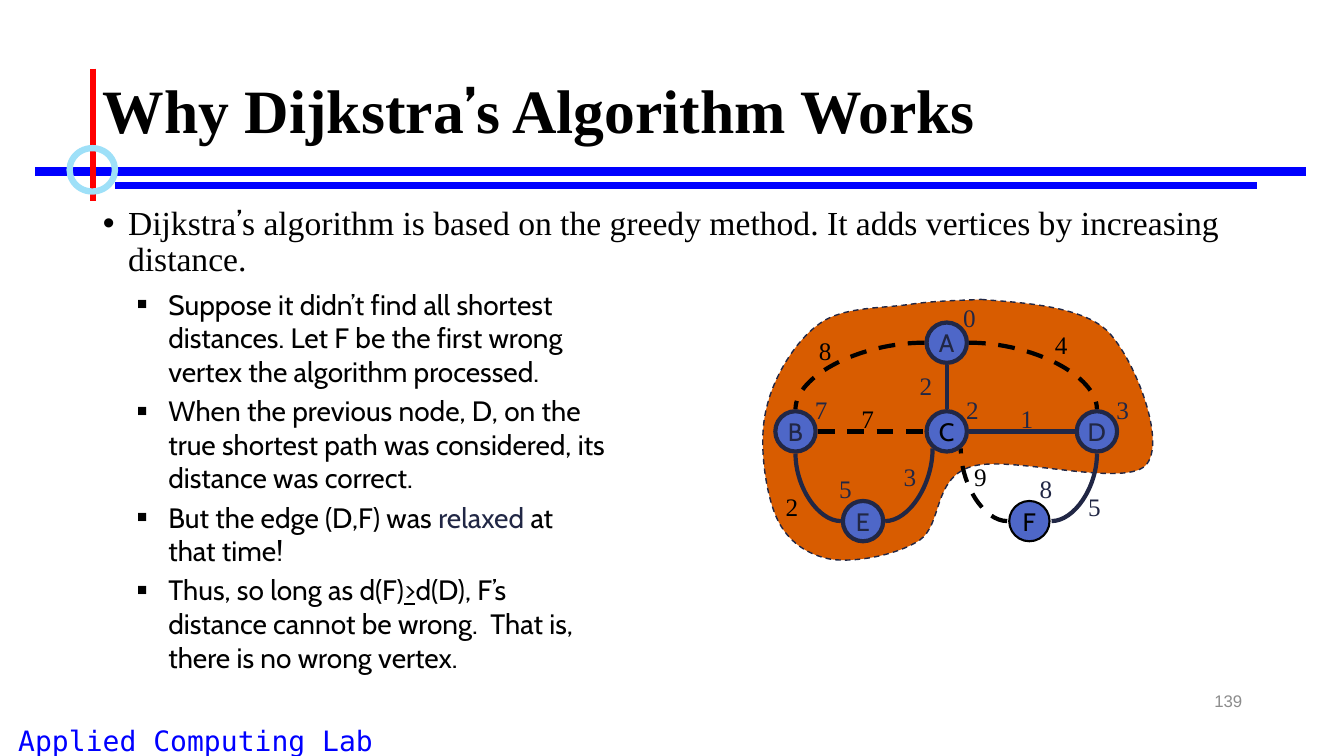
import dataclasses
import math
import typing

import lxml.etree
import pptx
import pptx.dml.color
import pptx.enum.dml
import pptx.enum.shapes
import pptx.enum.text
import pptx.oxml.ns
import pptx.shapes.base
import pptx.slide
import pptx.text.text
import pptx.util

Inches = pptx.util.Inches
Align = pptx.enum.text.PP_ALIGN
Anchor = pptx.enum.text.MSO_ANCHOR
Kind = pptx.enum.shapes.MSO_CONNECTOR
Point = tuple[float, float]
qn = pptx.oxml.ns.qn


@dataclasses.dataclass(frozen=True)
class Theme:
    black: str = "000000"
    navy: str = "212745"
    node: str = "4E67C8"
    cloud: str = "D85C00"
    blue: str = "0000FF"
    red: str = "FF0000"
    ring: str = "9EE0F8"
    gray: str = "8C8C8C"
    serif: str = "Times New Roman"
    sans: str = "Cabin"
    mono: str = "DejaVu Sans Mono"
    arial: str = "Arial"
    title: int = 44
    lead: int = 24
    list: int = 20
    label: int = 18
    page: int = 12


THEME = Theme()


class Node(typing.NamedTuple):
    x: float
    y: float
    cost: str
    spot: Point
    ink: str = THEME.navy
    rim: str = THEME.navy
    width: float = 3


class Edge(typing.NamedTuple):
    start: str
    end: str
    cost: str
    spot: Point
    ink: str = THEME.navy
    dash: bool = False
    slant: float = 0


class Bullet(typing.NamedTuple):
    mark: str
    left: float
    hang: float
    scale: int


class Rule(typing.NamedTuple):
    start: Point
    end: Point
    color: str
    width: float


RULES = [
    Rule((0.35, 1.7), (12.95, 1.7), THEME.blue, 6),
    Rule((1.14, 1.84), (12.47, 1.84), THEME.blue, 4.5),
    Rule((0.92, 0.68), (0.92, 1.99), THEME.red, 4.5),
]
SIZE, GAP = 0.4, 0.22  # node diameter; distance from node centre to edge end
NODES = {
    "A": Node(9.39, 3.4, "0", (9.45, 2.95)),
    "B": Node(7.89, 4.28, "7", (7.98, 3.86)),
    "C": Node(9.39, 4.28, "2", (9.48, 3.86), THEME.black),
    "D": Node(10.88, 4.28, "3", (10.97, 3.86)),
    "E": Node(8.56, 5.17, "5", (8.22, 4.65)),
    "F": Node(10.21, 5.17, "8", (10.21, 4.65), THEME.black, THEME.black, 1.5),
}
EDGES = [
    Edge("A", "B", "8", (8.02, 3.28), THEME.black, True),
    Edge("A", "D", "4", (10.36, 3.22), THEME.black, True),
    Edge("A", "C", "2", (9.02, 3.62)),
    Edge("B", "C", "7", (8.44, 3.95), THEME.black, True),
    Edge("C", "D", "1", (10.02, 3.95)),
    Edge("E", "B", "2", (7.69, 4.83), THEME.black),
    Edge("E", "C", "3", (8.86, 4.53), slant=-0.14),
    Edge("F", "C", "9", (9.56, 4.53), THEME.black, True, 0.14),
    Edge("F", "D", "5", (10.69, 4.83)),
]
# Start point, then two control points and an end point for each curve
CLOUD: list[Point] = [
    (9.73, 2.97), (10.06, 3), (10.72, 3.02), (10.99, 3.29),
    (11.26, 3.57), (11.58, 4.4), (11.36, 4.62),
    (11.13, 4.84), (10, 4.51), (9.63, 4.63),
    (9.25, 4.75), (9.35, 5.2), (9.12, 5.36),
    (8.89, 5.51), (8.49, 5.58), (8.25, 5.55),
    (8.02, 5.51), (7.81, 5.38), (7.7, 5.13),
    (7.59, 4.88), (7.52, 4.38), (7.6, 4.06),
    (7.67, 3.74), (7.89, 3.38), (8.13, 3.21),
    (8.36, 3.04), (8.76, 3.06), (9.02, 3.02),
    (9.29, 2.98), (9.58, 2.98), (9.73, 2.97),
]
LEAD = ["Dijkstra", "’", "s algorithm is based on the greedy method. "
        "It adds vertices by increasing distance."]
POINTS = [
    ["Suppose it didn’t find all shortest distances. Let F be the first wrong "
     "vertex the algorithm processed."],
    ["When the previous node, D, on the true shortest path was considered, its "
     "distance was correct."],
    ["But the edge (D,F) was ", "relaxed", " at that time!"],
    ["Thus, so long as d(F)", ">", "d(D), F’s distance cannot be wrong.  "
     "That is, there is no wrong vertex."],
]


def rgb(color: str) -> pptx.dml.color.RGBColor:
    return pptx.dml.color.RGBColor.from_string(color)


def style(font: pptx.text.text.Font, name: str, size: float, color: str) -> None:
    font.name, font.size = name, pptx.util.Pt(size)
    font.color.rgb = rgb(color)


def stroke(shape: typing.Any, color: str, width: float, dash: bool = False) -> None:
    shape.line.color.rgb = rgb(color)
    shape.line.width = pptx.util.Pt(width)
    if dash:
        shape.line.dash_style = pptx.enum.dml.MSO_LINE.DASH


def paint(shape: typing.Any, fill: str | None) -> None:
    shape.shadow.inherit = False
    if fill:
        shape.fill.solid()
        shape.fill.fore_color.rgb = rgb(fill)
    else:
        shape.fill.background()


def place(shape: pptx.shapes.base.BaseShape, *box: float) -> pptx.text.text.TextFrame:
    shape.left, shape.top, shape.width, shape.height = map(Inches, box)
    frame = shape.text_frame
    frame.auto_size = pptx.enum.text.MSO_AUTO_SIZE.NONE
    frame.word_wrap = True
    return frame


def write(frame: pptx.text.text.TextFrame, text: str, name: str, size: float,
          color: str, align: Align = Align.CENTER) -> None:
    frame.word_wrap = False
    line = frame.paragraphs[0]
    line.text, line.alignment = text, align
    style(line.font, name, size, color)


def label(slide: pptx.slide.Slide, spot: Point, text: str, color: str) -> None:
    box = slide.shapes.add_textbox(*map(Inches, (*spot, 0.33, 0.4)))
    write(box.text_frame, text, THEME.serif, THEME.label, color)


def bullet(line: typing.Any, look: Bullet) -> None:
    props = line._p.get_or_add_pPr()
    props.set("marL", str(Inches(look.left)))
    props.set("indent", str(Inches(-look.hang)))
    tint = lxml.etree.SubElement(props, qn("a:buClr"))
    lxml.etree.SubElement(tint, qn("a:srgbClr"), val=THEME.black)
    lxml.etree.SubElement(props, qn("a:buSzPct"), val=str(look.scale * 1000))
    lxml.etree.SubElement(props, qn("a:buFont"), typeface=THEME.arial)
    lxml.etree.SubElement(props, qn("a:buChar"), char=look.mark)


def quote(line: typing.Any, parts: list[str]) -> None:
    for part in parts:
        run = line.add_run()
        run.text = part
        run.font.name = THEME.sans if part == "’" else THEME.serif


def link(slide: pptx.slide.Slide, kind: Kind, start: Point, end: Point,
         color: str, width: float, dash: bool = False) -> None:
    line = slide.shapes.add_connector(kind, *map(Inches, (*start, *end)))
    stroke(line, color, width, dash)
    props = line._element.spPr
    if kind == Kind.CURVE:
        props.find(qn("a:prstGeom")).set("prst", "curvedConnector2")
    lxml.etree.SubElement(props, qn("a:effectLst"))


def oval(slide: pptx.slide.Slide, box: tuple[float, ...], fill: str | None,
         rim: str, width: float) -> pptx.text.text.TextFrame:
    shape = slide.shapes.add_shape(
        pptx.enum.shapes.MSO_SHAPE.OVAL, *map(Inches, box))
    paint(shape, fill)
    stroke(shape, rim, width)
    shape.text_frame.vertical_anchor = Anchor.MIDDLE
    return shape.text_frame


def join(slide: pptx.slide.Slide, edge: Edge) -> None:
    a, b = NODES[edge.start], NODES[edge.end]
    side = math.copysign(GAP, b.x - a.x)
    drop = math.copysign(math.sqrt(GAP ** 2 - edge.slant ** 2), b.y - a.y)
    kind = Kind.STRAIGHT
    if a.x == b.x:
        start, end = (a.x, a.y + drop), (b.x, b.y - drop)
    elif a.y == b.y:
        start, end = (a.x + side, a.y), (b.x - side, b.y)
    else:
        kind = Kind.CURVE
        start, end = (a.x + side, a.y), (b.x + edge.slant, b.y - drop)
    link(slide, kind, start, end, THEME.black if edge.dash else THEME.navy, 3, edge.dash)
    label(slide, edge.spot, edge.cost, edge.ink)


def cloud(slide: pptx.slide.Slide) -> None:
    first, *rest = [(round(x * 100), round(y * 100)) for x, y in CLOUD]
    pen = slide.shapes.build_freeform(*first, scale=Inches(0.01))
    pen.add_line_segments(rest, close=True)
    shape = pen.convert_to_shape()
    # Turn each three straight segments into one curve
    legs = list(shape._element.iter(qn("a:lnTo")))
    for i in range(0, len(rest), 3):
        curve = lxml.etree.Element(qn("a:cubicBezTo"))
        legs[i].addprevious(curve)
        for leg in legs[i:i + 3]:
            curve.append(leg[0])
            leg.getparent().remove(leg)
    paint(shape, THEME.cloud)
    stroke(shape, THEME.navy, 1, True)


def main() -> None:
    deck = pptx.Presentation()
    deck.slide_width, deck.slide_height = Inches(13.33), Inches(7.5)
    slide = deck.slides.add_slide(deck.slide_layouts[3])

    # Frame lines, ring, footer and page number
    for rule in RULES:
        link(slide, Kind.STRAIGHT, *rule)
    oval(slide, (0.69, 1.47, 0.45, 0.43), None, THEME.ring, 4.5)
    foot = slide.shapes.add_textbox(*map(Inches, (0.08, 7.13, 3.72, 0.37)))
    write(foot.text_frame, "Applied Computing Lab", THEME.mono, THEME.list, THEME.blue)
    page = slide.shapes.add_textbox(*map(Inches, (9.42, 6.75, 3, 0.4)))
    page.text_frame.vertical_anchor = Anchor.MIDDLE
    write(page.text_frame, "139", THEME.arial, THEME.page, THEME.gray, Align.RIGHT)

    # Title and lead sentence
    frame = place(slide.shapes.title, 0.92, 0.4, 11.5, 1.45)
    frame.vertical_anchor = Anchor.MIDDLE
    head = frame.paragraphs[0]
    head.alignment, head.line_spacing = Align.LEFT, 0.9
    style(head.font, THEME.serif, THEME.title, THEME.black)
    head.font.bold = True
    quote(head, ["Why Dijkstra", "’", "s Algorithm Works"])
    lead = place(slide.placeholders[1], 0.92, 2, 11.5, 4.76).paragraphs[0]
    lead.line_spacing, lead.space_before = 0.9, pptx.util.Pt(0)
    bullet(lead, Bullet("•", 0.25, 0.25, 100))
    style(lead.font, THEME.serif, THEME.lead, THEME.black)
    quote(lead, LEAD)

    # Proof steps
    frame = place(slide.placeholders[2], 0.76, 2.8, 5.35, 4.27)
    for i, parts in enumerate(POINTS):
        line = frame.add_paragraph() if i else frame.paragraphs[0]
        line.level, line.space_before = 1, pptx.util.Pt(4 if i else 0)
        bullet(line, Bullet("■", 0.81, 0.31, 60))
        style(line.font, THEME.sans, THEME.list, THEME.black)
        for part in parts:
            run = line.add_run()
            run.text = part
            if part == "relaxed":
                run.font.color.rgb = rgb(THEME.navy)
            elif part == ">":
                run.font.underline = True

    # Graph
    cloud(slide)
    for edge in EDGES:
        join(slide, edge)
    for name, node in NODES.items():
        box = (node.x - SIZE / 2, node.y - SIZE / 2, SIZE, SIZE)
        disc = oval(slide, box, THEME.node, node.rim, node.width)
        write(disc, name, THEME.sans, THEME.label, node.ink)
        label(slide, node.spot, node.cost, THEME.navy)

    deck.save("out.pptx")


if __name__ == "__main__":
    main()
